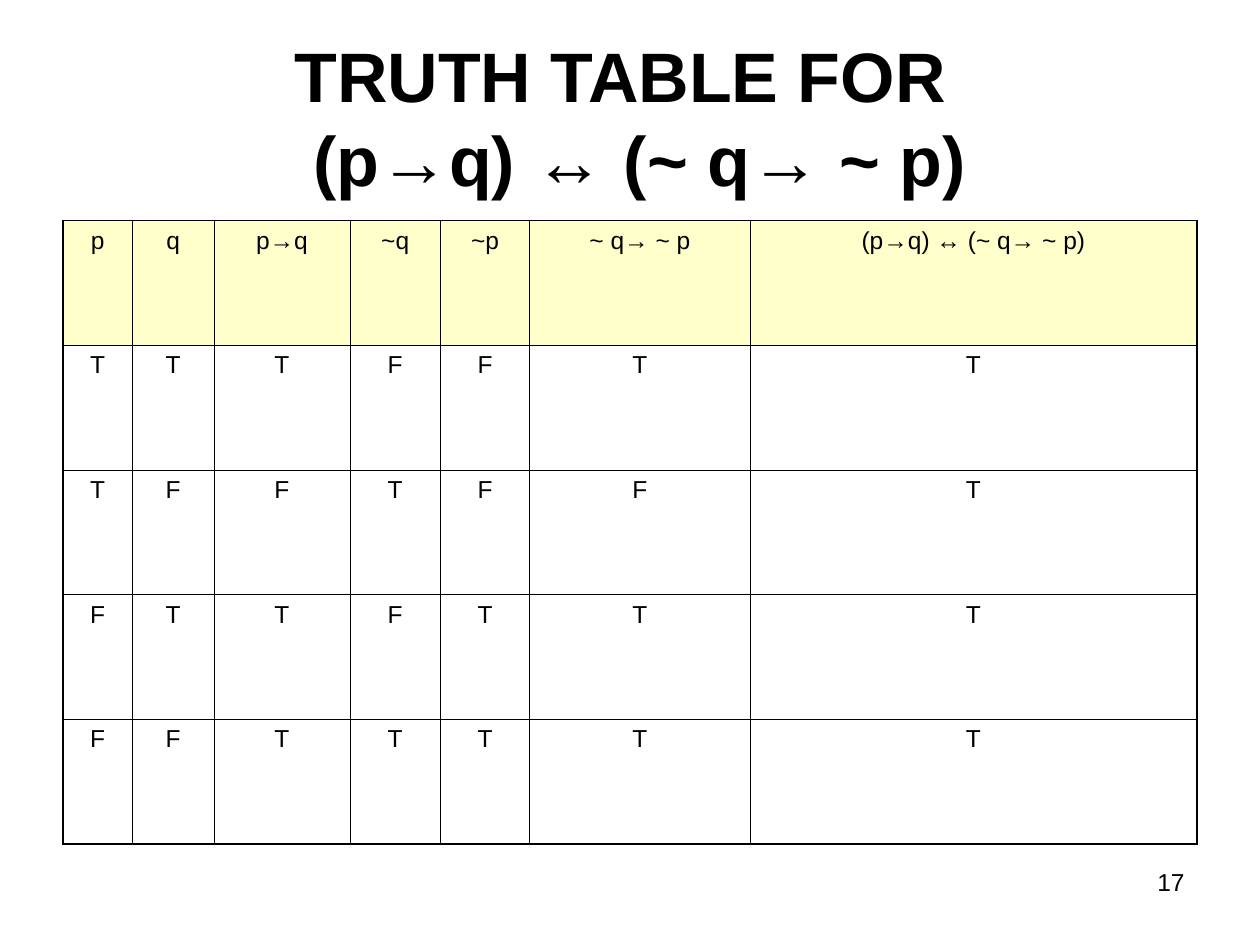
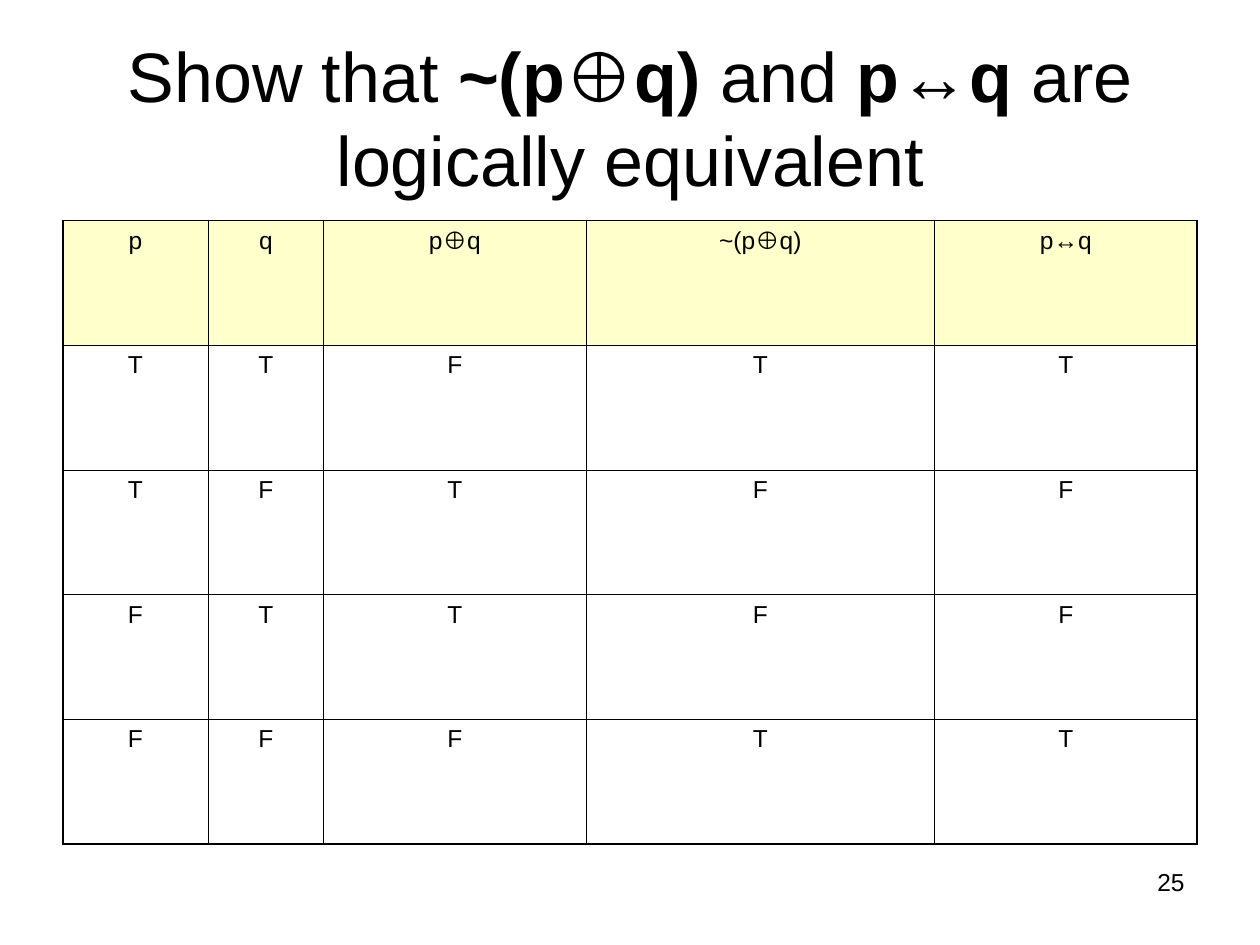
"""Build two truth-table slides on propositional equivalence."""
from dataclasses import dataclass
from typing import NamedTuple

from lxml import etree
from pptx import Presentation
from pptx.dml.color import RGBColor
from pptx.enum.text import MSO_ANCHOR, MSO_AUTO_SIZE, PP_ALIGN
from pptx.oxml.ns import qn
from pptx.util import Inches, Pt

CENTER, RIGHT = PP_ALIGN.CENTER, PP_ALIGN.RIGHT
MIDDLE, NO_FIT = MSO_ANCHOR.MIDDLE, MSO_AUTO_SIZE.NONE
COLORS = {"ink": "000000", "header": "FFFFCC"}
FONT = "Arial"
TITLE_SIZE, TEXT_SIZE = 40, 14
OUTER_LINE, INNER_LINE = Pt(1.08), Pt(0.45)
SLIDE_W, SLIDE_H = Inches(10), Inches(7.5)
GRID_COLS, GRID_ROWS = 200, 150
TITLE_ONLY = 5


class Box(NamedTuple):
    left: float
    top: float
    width: float
    height: float

    def emu(self) -> tuple[int, int, int, int]:
        col, row = SLIDE_W / GRID_COLS, SLIDE_H / GRID_ROWS
        return (round(self.left * col), round(self.top * row),
                round(self.width * col), round(self.height * row))


class Span(NamedTuple):
    text: str
    bold: bool = False


class Column(NamedTuple):
    heading: str
    weight: float
    values: str


@dataclass(frozen=True)
class TruthSlide:
    number: int
    title_lines: list[list[Span]]
    columns: list[Column]


TITLE_BOX = Box(10, 6, 180, 25)
TABLE_BOX = Box(10, 35, 180, 99)
NUMBER_BOX = Box(143.4, 136.6, 46.6, 10.4)

SLIDES = [
    TruthSlide(
        17,
        [[Span("TRUTH TABLE FOR ", True)], [Span(" (p→q) ↔ (~ q→ ~ p)", True)]],
        [
            Column("p", 0.55, "TTFF"),
            Column("q", 0.65, "TFTF"),
            Column("p→q", 1.08, "TFTT"),
            Column("~q", 0.72, "FTFT"),
            Column("~p", 0.71, "FFTT"),
            Column("~ q→ ~ p", 1.75, "TFTT"),
            Column("(p→q) ↔ (~ q→ ~ p)", 3.55, "TTTT"),
        ],
    ),
    TruthSlide(
        25,
        [[Span("Show that "), Span("~(p⊕q)", True), Span(" and "),
          Span("p↔q", True), Span(" are logically equivalent")]],
        [
            Column("p", 1.15, "TTFF"),
            Column("q", 0.92, "TFTF"),
            Column("p⊕q", 2.08, "FTTF"),
            Column("~(p⊕q)", 2.77, "TFFT"),
            Column("p↔q", 2.08, "TFFT"),
        ],
    ),
]


def add_run(p, span: Span, size: float) -> None:
    """Append one formatted run to a paragraph."""
    r = p.add_run()
    r.text = span.text
    r.font.name = FONT
    r.font.size = Pt(size)
    r.font.bold = span.bold
    r.font.color.rgb = RGBColor.from_string(COLORS["ink"])


def set_borders(cell, widths: dict[str, int]) -> None:
    """Give a cell its left, right, top and bottom lines."""
    tc_pr = cell._tc.get_or_add_tcPr()
    for i, (side, width) in enumerate(widths.items()):
        ln = etree.Element(qn(f"a:ln{side}"), w=str(width))
        fill = etree.SubElement(ln, qn("a:solidFill"))
        etree.SubElement(fill, qn("a:srgbClr"), val=COLORS["ink"])
        tc_pr.insert(i, ln)


def draw_title(s, lines: list[list[Span]]) -> None:
    """Fill the title placeholder line by line."""
    sp = s.shapes.title
    sp.left, sp.top, sp.width, sp.height = TITLE_BOX.emu()
    tf = sp.text_frame
    tf.word_wrap = True
    tf.auto_size = NO_FIT
    tf.vertical_anchor = MIDDLE
    p = tf.paragraphs[0]
    p.alignment = CENTER
    for i, line in enumerate(lines):
        if i:
            p.add_line_break()
        for span in line:
            add_run(p, span, TITLE_SIZE)


def draw_number(s, number: int) -> None:
    """Write the slide number at the lower right."""
    tf = s.shapes.add_textbox(*NUMBER_BOX.emu()).text_frame
    tf.word_wrap = True
    p = tf.paragraphs[0]
    p.alignment = RIGHT
    add_run(p, Span(str(number)), TEXT_SIZE)


def draw_table(s, columns: list[Column]) -> None:
    """Draw the truth table with a tinted heading row."""
    n_rows, n_cols = len(columns[0].values) + 1, len(columns)
    left, top, width, height = TABLE_BOX.emu()
    table = s.shapes.add_table(n_rows, n_cols, left, top, width, height).table
    table.first_row = table.horz_banding = False
    total = sum(column.weight for column in columns)
    for row in table.rows:
        row.height = height // n_rows
    for c, column in enumerate(columns):
        table.columns[c].width = round(width * column.weight / total)
        for r, text in enumerate([column.heading, *column.values]):
            cell = table.cell(r, c)
            if r == 0:
                cell.fill.solid()
                cell.fill.fore_color.rgb = RGBColor.from_string(COLORS["header"])
            else:
                cell.fill.background()
            edges = {"L": c == 0, "R": c == n_cols - 1,
                     "T": r == 0, "B": r == n_rows - 1}
            set_borders(cell, {side: OUTER_LINE if outer else INNER_LINE
                               for side, outer in edges.items()})
            p = cell.text_frame.paragraphs[0]
            p.alignment = CENTER
            add_run(p, Span(text), TEXT_SIZE)


def main() -> None:
    """Build and save the presentation."""
    prs = Presentation()
    prs.slide_width, prs.slide_height = SLIDE_W, SLIDE_H
    for item in SLIDES:
        s = prs.slides.add_slide(prs.slide_layouts[TITLE_ONLY])
        draw_number(s, item.number)
        draw_title(s, item.title_lines)
        draw_table(s, item.columns)
    prs.save("out.pptx")


if __name__ == "__main__":
    main()
